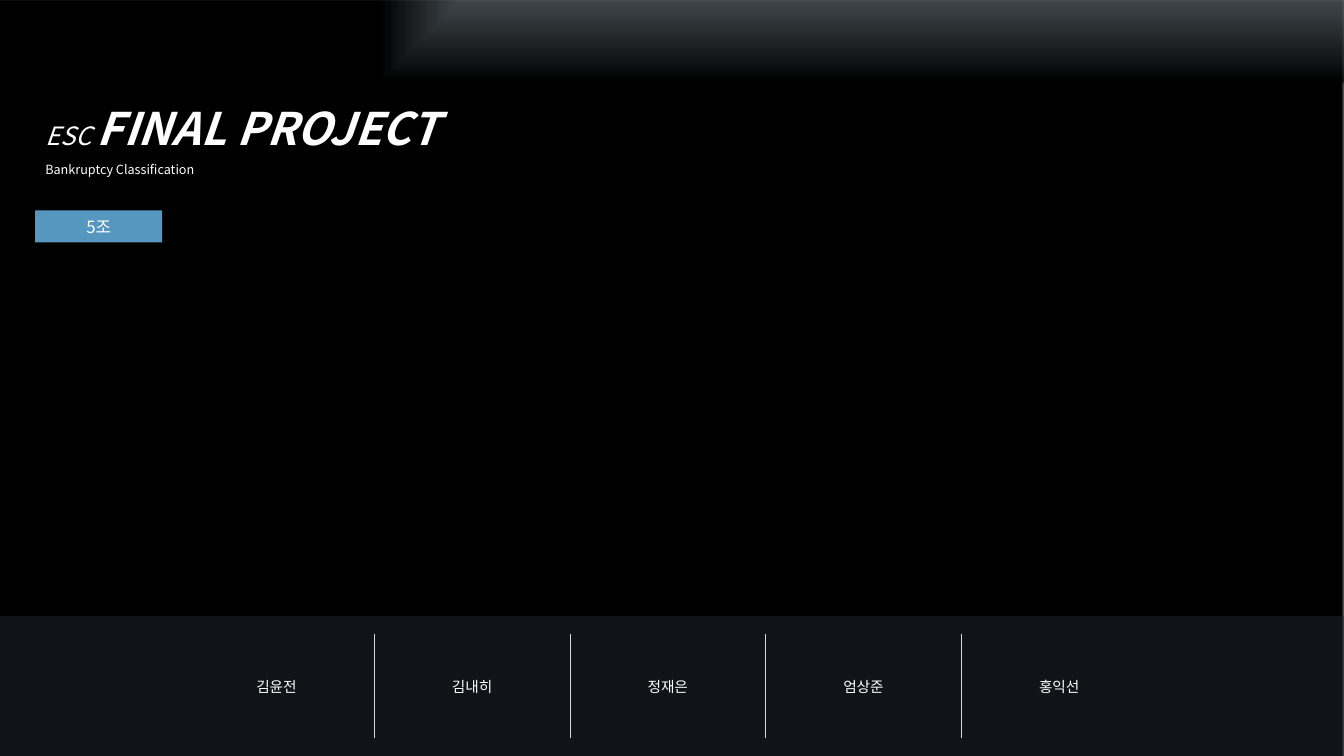
from pptx import Presentation
from pptx.dml.color import RGBColor
from pptx.enum.shapes import MSO_SHAPE
from pptx.enum.text import MSO_ANCHOR, MSO_AUTO_SIZE, PP_ALIGN
from pptx.oxml import parse_xml
from pptx.oxml.ns import nsdecls, qn
from pptx.util import Pt

FONT = "Noto Sans CJK KR"
COLORS = {
    "glow": "355F77",
    "black": "000000",
    "white": "FFFFFF",
    "badge": "5697BF",
    "band": "222A35",
    "divider": "D9D9D9",
}
MEMBERS = ["김윤전", "김내히", "정재은", "엄상준", "홍익선"]
SLIDE_WIDTH, SLIDE_HEIGHT = 960, 540


def style_paragraph(paragraph, size, align=PP_ALIGN.CENTER):
    paragraph.alignment = align
    font = paragraph.font
    font.size = Pt(size)
    font.name = FONT
    font.color.rgb = RGBColor.from_string(COLORS["white"])
    defaults = paragraph._p.pPr.find(qn("a:defRPr"))
    defaults.append(parse_xml(f'<a:ea {nsdecls("a")} typeface="{FONT}"/>'))


def add_rectangle(slide, left, top, width, height, color):
    shape = slide.shapes.add_shape(
        MSO_SHAPE.RECTANGLE, Pt(left), Pt(top), Pt(width), Pt(height))
    shape.shadow.inherit = False
    shape.line.fill.background()
    shape.fill.solid()
    shape.fill.fore_color.rgb = RGBColor.from_string(COLORS[color])
    return shape


def add_backdrop(slide):
    """Black backdrop that clears towards the top right corner."""
    backdrop = add_rectangle(slide, 0, 0, SLIDE_WIDTH, SLIDE_HEIGHT, "black")
    properties = backdrop.element.spPr
    gradient = parse_xml(
        f'<a:gradFill {nsdecls("a")} rotWithShape="1"><a:gsLst>'
        f'<a:gs pos="0"><a:srgbClr val="{COLORS["glow"]}"><a:alpha val="0"/></a:srgbClr></a:gs>'
        f'<a:gs pos="100000"><a:srgbClr val="{COLORS["black"]}"/></a:gs></a:gsLst>'
        '<a:path path="rect"><a:fillToRect l="100000" b="100000"/></a:path></a:gradFill>')
    properties.replace(properties.find(qn("a:solidFill")), gradient)
    slide.shapes.title.element.addprevious(backdrop.element)


def fill_title(title):
    title.left, title.top, title.width, title.height = Pt(25.2), Pt(49), Pt(386.6), Pt(82)
    frame = title.text_frame
    frame.word_wrap = True
    frame.auto_size = MSO_AUTO_SIZE.SHAPE_TO_FIT_TEXT
    frame.vertical_anchor = MSO_ANCHOR.TOP

    heading = frame.paragraphs[0]
    style_paragraph(heading, 32, PP_ALIGN.LEFT)
    heading.font.italic = True
    prefix = heading.add_run()
    prefix.text = "ESC "
    prefix.font.size = Pt(18)
    name = heading.add_run()
    name.text = "FINAL PROJECT"
    name.font.bold = True

    topic = frame.add_paragraph()
    topic.text = "Bankruptcy Classification"
    style_paragraph(topic, 9, PP_ALIGN.LEFT)
    for paragraph in frame.paragraphs:
        paragraph.line_spacing = 1.5


def add_badge(slide, text):
    badge = add_rectangle(slide, 25.2, 150.2, 90.7, 23, "badge")
    frame = badge.text_frame
    frame.vertical_anchor = MSO_ANCHOR.MIDDLE
    frame.text = text
    style_paragraph(frame.paragraphs[0], 12)


def add_band(slide):
    band = add_rectangle(slide, 0, 440, SLIDE_WIDTH, 100, "band")
    color = band.element.spPr.find(qn("a:solidFill"))[0]
    color.append(parse_xml(f'<a:alpha {nsdecls("a")} val="47000"/>'))


def set_borders(cell, visible):
    """Draw the borders named in visible (out of L, R, T, B) and clear the others."""
    properties = cell._tc.get_or_add_tcPr()
    for index, side in enumerate("LRTB"):
        fill = "<a:noFill/>"
        if side in visible:
            fill = f'<a:solidFill><a:srgbClr val="{COLORS["divider"]}"/></a:solidFill>'
        line = parse_xml(f'<a:ln{side} {nsdecls("a")} w="{Pt(0.5)}">{fill}</a:ln{side}>')
        properties.insert(index, line)


def add_member_table(slide, members):
    column_width = 139.8
    table = slide.shapes.add_table(
        1, len(members), Pt(127.6), Pt(453),
        Pt(column_width * len(members)), Pt(74)).table
    table.first_row = False
    table.horz_banding = False
    for index, member in enumerate(members):
        table.columns[index].width = Pt(column_width)
        cell = table.cell(0, index)
        cell.text = member
        cell.vertical_anchor = MSO_ANCHOR.MIDDLE
        cell.fill.background()
        style_paragraph(cell.text_frame.paragraphs[0], 10.5)
        left = "L" if index > 0 else ""
        right = "R" if index < len(members) - 1 else ""
        set_borders(cell, left + right)


def main():
    presentation = Presentation()
    presentation.slide_width = Pt(SLIDE_WIDTH)
    presentation.slide_height = Pt(SLIDE_HEIGHT)
    slide = presentation.slides.add_slide(presentation.slide_layouts.get_by_name("Title Only"))
    add_backdrop(slide)
    fill_title(slide.shapes.title)
    add_badge(slide, "5조")
    add_band(slide)
    add_member_table(slide, MEMBERS)
    presentation.save("out.pptx")


if __name__ == "__main__":
    main()
